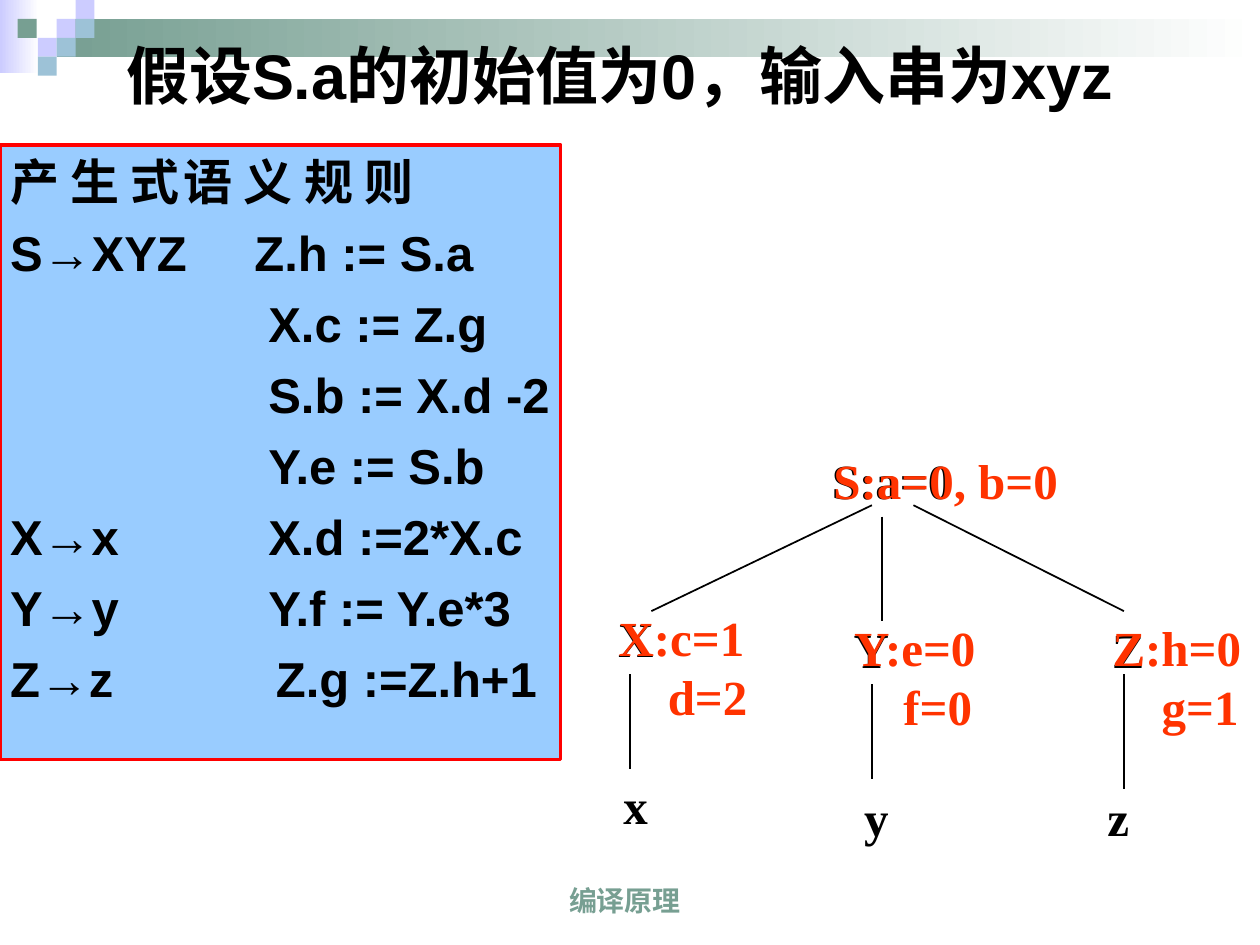
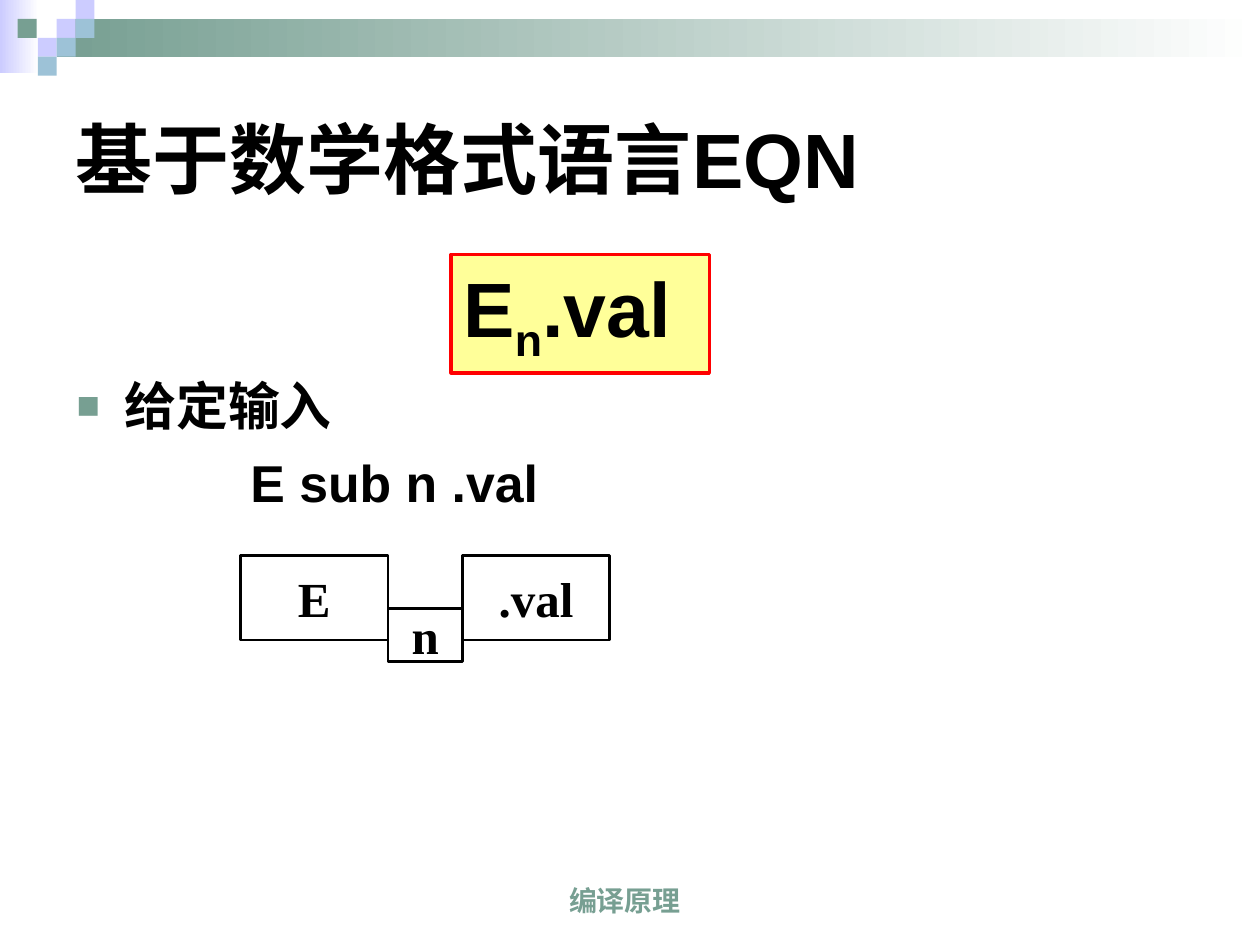
from dataclasses import dataclass

from lxml import etree
from pptx import Presentation
from pptx.dml.color import RGBColor
from pptx.enum.shapes import MSO_CONNECTOR, MSO_SHAPE
from pptx.enum.text import MSO_ANCHOR, MSO_AUTO_SIZE, PP_ALIGN
from pptx.oxml.ns import qn
from pptx.util import Pt

RECT = MSO_SHAPE.RECTANGLE
LINE = MSO_CONNECTOR.STRAIGHT
LEFT, MID = PP_ALIGN.LEFT, PP_ALIGN.CENTER
TOP, HALF, LOW = MSO_ANCHOR.TOP, MSO_ANCHOR.MIDDLE, MSO_ANCHOR.BOTTOM
FIXED = MSO_AUTO_SIZE.NONE

SCALE = 9144  # EMU in one px, at 100 px to the inch
SANS, SERIF = "Arial", "Times New Roman"
INK = {
    "black": "000000",
    "white": "FFFFFF",
    "green": "779F92",
    "lilac": "CCCCFF",
    "sky": "9DC2D7",
    "blue": "99CCFF",
    "cream": "FFFF99",
    "red": "FF0000",
    "flame": "FF3300",
}


@dataclass(frozen=True)
class Box:
    x: int
    y: int
    w: int
    h: int

    def emu(self) -> tuple:
        return tuple(px(n) for n in (self.x, self.y, self.w, self.h))


@dataclass(frozen=True)
class Style:
    size: float
    font: str = SANS
    ink: str = "black"
    align: PP_ALIGN = LEFT
    gap: float = 0


@dataclass(frozen=True)
class Row:
    text: str
    tab: int = 0  # measured from the indent
    indent: int = 0
    hang: int = 0
    mark: str = ""


@dataclass(frozen=True)
class Label:
    box: Box
    rows: tuple
    style: Style


NODE = Style(28, SERIF, align=MID)
HOT = Style(28, SERIF, "flame", MID)
VALUE = Style(28, SERIF, "flame")
PLAIN = (10, 5, 10, 5)
TIGHT = (8, 1, 10, 5)


def px(n: int) -> int:
    return n * SCALE


def rgb(name: str) -> RGBColor:
    return RGBColor.from_string(INK[name])


# Text
def add_run(para, text: str, style: Style, base: int = 0) -> None:
    run = para.add_run()
    run.text = text
    font = run.font
    font.size, font.name, font.bold = Pt(style.size), style.font, True
    font.color.rgb = rgb(style.ink)
    if base:
        font._element.set("baseline", str(base * 1000))


def set_mark(props, mark: str) -> None:
    if not mark:
        etree.SubElement(props, qn("a:buNone"))
        return
    tint = etree.SubElement(props, qn("a:buClr"))
    etree.SubElement(tint, qn("a:srgbClr"), val=INK["green"])
    etree.SubElement(props, qn("a:buSzPct"), val="75000")
    etree.SubElement(props, qn("a:buFont"), typeface=SANS)
    etree.SubElement(props, qn("a:buChar"), char=mark)


def set_tab(props, tab: int) -> None:
    props.set("defTabSz", str(px(tab)))
    tabs = etree.SubElement(props, qn("a:tabLst"))
    etree.SubElement(tabs, qn("a:tab"), pos=str(px(tab)), algn="l")


def set_frame(shape, inset: tuple, anchor, wrap: bool = True):
    frame = shape.text_frame
    frame.auto_size, frame.word_wrap = FIXED, wrap
    frame.vertical_anchor = anchor
    (frame.margin_left, frame.margin_top,
     frame.margin_right, frame.margin_bottom) = map(px, inset)
    return frame


def fill_text(shape, rows, style: Style, inset: tuple = PLAIN,
              anchor=HALF, wrap: bool = True) -> None:
    frame = set_frame(shape, inset, anchor, wrap)
    for i, row in enumerate(rows):
        para = frame.add_paragraph() if i else frame.paragraphs[0]
        props = para._p.get_or_add_pPr()
        props.set("marL", str(px(row.indent)))
        props.set("indent", str(px(-row.hang)))
        set_mark(props, row.mark)
        if row.tab:
            set_tab(props, row.tab)
        para.alignment = style.align
        para.space_before = Pt(style.gap if i else 0)
        add_run(para, row.text, style)


def add_text(slide, box: Box, rows, style: Style, **kw) -> None:
    fill_text(slide.shapes.add_textbox(*box.emu()), rows, style, **kw)


# Shapes
def add_rect(slide, box: Box, fill: str = "", fade: bool = False,
             edge: str = "", width: float = 1):
    shape = slide.shapes.add_shape(RECT, *box.emu())
    shape.shadow.inherit = False
    if fade:
        shape.fill.gradient()
        shape.fill.gradient_angle = 0
        for stop, name in zip(shape.fill.gradient_stops, (fill, "white")):
            stop.color.rgb = rgb(name)
    elif fill:
        shape.fill.solid()
        shape.fill.fore_color.rgb = rgb(fill)
    else:
        shape.fill.background()
    if edge:
        shape.line.color.rgb = rgb(edge)
        shape.line.width = Pt(width)
    else:
        shape.line.fill.background()
    return shape


def add_line(slide, ends: tuple) -> None:
    line = slide.shapes.add_connector(LINE, *map(px, ends))
    line.line.color.rgb = rgb("black")
    line.line.width = Pt(1)
    etree.SubElement(line._element.spPr, qn("a:effectLst"))


# Parts on every slide
FADES = ((Box(0, 0, 31, 58), "lilac"), (Box(45, 15, 955, 30), "green"))
TILES = (
    (45, 15, "lilac"), (60, 0, "lilac"), (60, 15, "sky"), (30, 30, "lilac"),
    (14, 15, "green"), (45, 30, "sky"), (30, 45, "sky"),
)


def new_slide(deck, title: str, box: Box, size: int):
    slide = deck.slides.add_slide(deck.slide_layouts[5])
    for band, ink in FADES:
        add_rect(slide, band, ink, fade=True)
    for x, y, ink in TILES:
        add_rect(slide, Box(x, y, 15, 15), ink)
    add_text(slide, Box(319, 683, 354, 50), [Row("编译原理")],
             Style(16, ink="green", align=MID), anchor=LOW)
    # Bring the title in front of the bands
    head = slide.shapes.title
    head._element.getparent().append(head._element)
    head.left, head.top, head.width, head.height = box.emu()
    fill_text(head, [Row(title)], Style(size))
    return slide


# Slide 1: parse tree
NODES = (
    Label(Box(633, 352, 150, 58), (Row("S:a=0"),), NODE),
    Label(Box(442, 477, 125, 58), (Row("X"),), NODE),
    Label(Box(633, 486, 117, 58), (Row("Y"),), NODE),
    Label(Box(833, 486, 125, 58), (Row("Z"),), NODE),
    Label(Box(442, 610, 125, 58), (Row("x"),), NODE),
    Label(Box(633, 619, 125, 58), (Row("y"),), NODE),
    Label(Box(825, 619, 125, 58), (Row("z"),), NODE),
    Label(Box(617, 352, 267, 58), (Row("S:a=0, b=0"),), HOT),
)
VALUES = (
    (875, 493, "Z:h=0", "g=1"),
    (483, 485, "X:c=1", "d=2"),
    (670, 493, "Y:e=0", "f=0"),
)
EDGES = (
    (692, 401, 517, 485), (700, 410, 700, 493), (725, 401, 892, 485),
    (500, 535, 500, 610), (692, 543, 692, 618), (892, 535, 892, 626),
)
RULES = (
    Row("产 生 式\t语 义 规 则", 100, 38, 38),
    Row("S→XYZ\tZ.h := S.a", 156, 38, 38),
    Row("X.c := Z.g", indent=205),
    Row("S.b := X.d -2", indent=205),
    Row("Y.e := S.b", indent=205),
    Row("X→x\tX.d :=2*X.c", 167, 38, 38),
    Row("Y→y\tY.f := Y.e*3", 167, 38, 38),
    Row("Z→z\tZ.g :=Z.h+1", 173, 38, 38),
)


def draw_tree(deck) -> None:
    slide = new_slide(deck, "假设S.a的初始值为0，输入串为xyz",
                      Box(90, 28, 850, 62), 36)
    for ends in EDGES:
        add_line(slide, ends)
    for node in NODES:
        add_text(slide, node.box, node.rows, node.style, wrap=False)
    for x, y, first, second in VALUES:
        add_text(slide, Box(x, y, 117, 92), [Row(first), Row(second, indent=39)],
                 VALUE, inset=TIGHT, wrap=False)
    panel = add_rect(slide, Box(0, 115, 445, 488), "blue", edge="red", width=2)
    fill_text(panel, RULES, Style(28, gap=7), (8, 5, 0, 5), TOP)


# Slide 2: EQN boxes
CELLS = (
    (Box(191, 441, 117, 67), "E"),
    (Box(308, 483, 59, 42), "n"),
    (Box(367, 441, 117, 67), ".val"),
)


def draw_eqn(deck) -> None:
    slide = new_slide(deck, "基于数学格式语言EQN", Box(50, 50, 900, 150), 44)
    rows = [Row("给定输入", indent=38, hang=38, mark="■"),
            Row("E sub n .val", indent=138)]
    add_text(slide, Box(51, 292, 900, 126), rows, Style(29.6, gap=8), anchor=TOP)
    for box, text in CELLS:
        cell = add_rect(slide, box, edge="black", width=1.5)
        fill_text(cell, [Row(text)], NODE, wrap=False)
    # Formula with a subscript
    card = add_rect(slide, Box(358, 202, 205, 94), "cream", edge="red", width=2)
    para = set_frame(card, PLAIN, TOP).paragraphs[0]
    para.alignment = LEFT
    for text, base in (("E", 0), ("n", -25), (".val", 0)):
        add_run(para, text, Style(44), base)


def main() -> None:
    deck = Presentation()
    deck.slide_width, deck.slide_height = px(1000), px(750)
    draw_tree(deck)
    draw_eqn(deck)
    deck.save("out.pptx")


if __name__ == "__main__":
    main()
